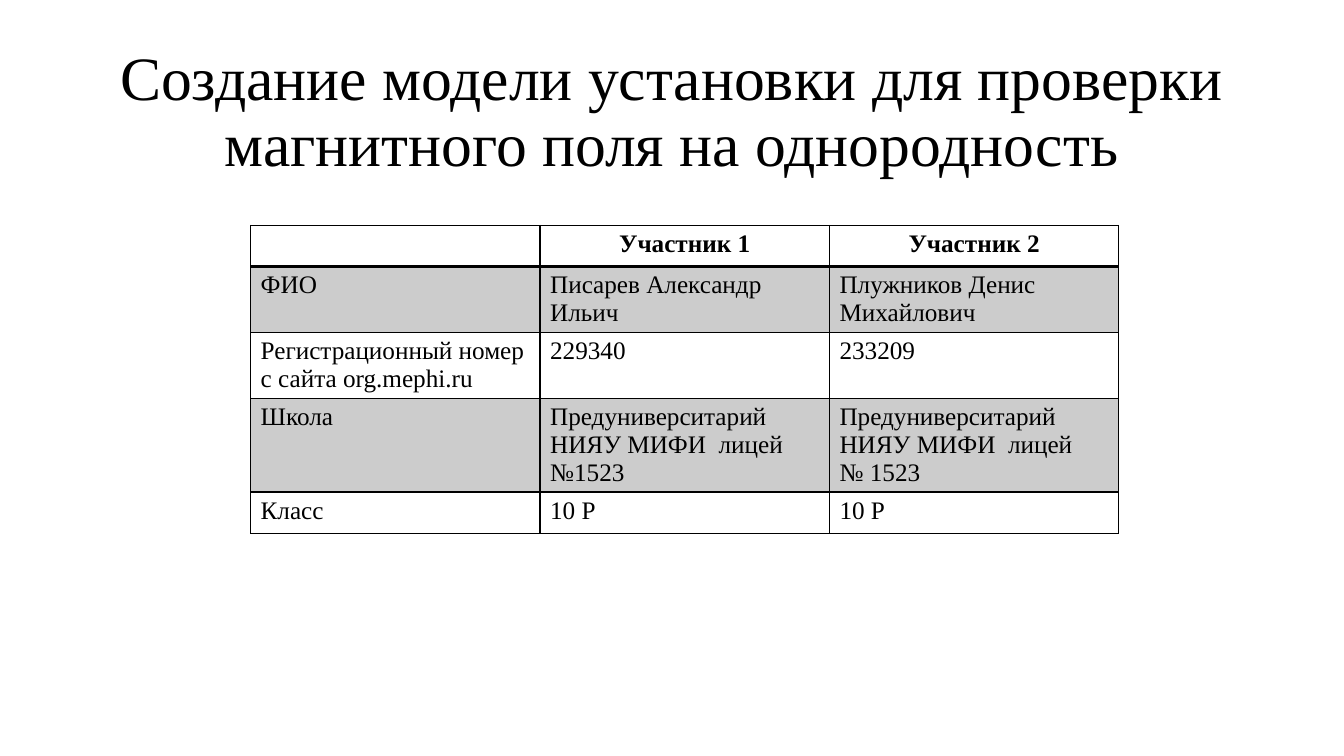
from lxml import etree
from pptx import Presentation
from pptx.dml.color import RGBColor
from pptx.enum.text import MSO_ANCHOR, PP_ALIGN
from pptx.oxml.ns import qn
from pptx.util import Pt

CENTER, LEFT = PP_ALIGN.CENTER, PP_ALIGN.LEFT
MIDDLE = MSO_ANCHOR.MIDDLE
TITLE_ONLY = 5

TITLE = "Создание модели установки для проверки магнитного поля на однородность"
PARTICIPANTS = [
    ["", "Участник 1", "Участник 2"],
    ["ФИО", "Писарев Александр Ильич", "Плужников Денис Михайлович"],
    ["Регистрационный номер\nс сайта org.mephi.ru", "229340", "233209"],
    ["Школа", "Предуниверситарий НИЯУ МИФИ  лицей №1523",
     "Предуниверситарий НИЯУ МИФИ  лицей  № 1523"],
    ["Класс", "10 Р", "10 Р"],
]
ROW_HEIGHTS = [27.5, 47, 47, 67, 29.5]


def color(hex_string):
    return RGBColor.from_string(hex_string)


class SlideBuilder:
    font = "Times New Roman"
    ink = "000000"
    band = "CCCCCC"
    title_size = 44
    body_size = 18

    def __init__(self, presentation):
        self.slide = presentation.slides.add_slide(presentation.slide_layouts[TITLE_ONLY])

    def format_text(self, text_frame, size, alignment, bold=False):
        for paragraph in text_frame.paragraphs:
            paragraph.alignment = alignment
            for run in paragraph.runs:
                run.font.name = self.font
                run.font.size = Pt(size)
                run.font.bold = bold
                run.font.color.rgb = color(self.ink)

    def title(self, text, left, top, width, height):
        shape = self.slide.shapes.title
        shape.left, shape.top, shape.width, shape.height = map(Pt, (left, top, width, height))
        text_frame = shape.text_frame
        text_frame.text = text
        text_frame.word_wrap = True
        text_frame.vertical_anchor = MIDDLE
        text_frame.paragraphs[0].line_spacing = 0.9
        self.format_text(text_frame, self.title_size, CENTER)

    def border(self, cell, side, width):
        """Draw one side (L, R, T or B) of a cell."""
        properties = cell._tc.get_or_add_tcPr()
        line = etree.SubElement(properties, qn(f"a:ln{side}"), w=str(Pt(width)))
        fill = etree.SubElement(line, qn("a:solidFill"))
        etree.SubElement(fill, qn("a:srgbClr"), val=self.ink)

    def table(self, rows, left, top, column_width, row_heights):
        """Add a ruled table with a bold header and every odd row shaded."""
        column_count = len(rows[0])
        table = self.slide.shapes.add_table(
            len(rows), column_count, Pt(left), Pt(top),
            Pt(column_width * column_count), Pt(sum(row_heights))).table
        table.horz_banding = False
        for column in table.columns:
            column.width = Pt(column_width)
        for row_index, (texts, height) in enumerate(zip(rows, row_heights)):
            table.rows[row_index].height = Pt(height)
            is_header = row_index == 0
            for column_index, text in enumerate(texts):
                cell = table.cell(row_index, column_index)
                cell.text_frame.text = text
                self.format_text(cell.text_frame, self.body_size,
                                 CENTER if is_header else LEFT, is_header)
                widths = {"L": 1, "R": 1, "T": 2 if row_index == 1 else 1,
                          "B": 2 if is_header else 1}
                for side, width in widths.items():
                    self.border(cell, side, width)
                if row_index % 2:
                    cell.fill.solid()
                    cell.fill.fore_color.rgb = color(self.band)
                else:
                    cell.fill.background()


def main():
    presentation = Presentation()
    presentation.slide_width, presentation.slide_height = Pt(960), Pt(540)
    builder = SlideBuilder(presentation)
    builder.title(TITLE, 66, 28.75, 828, 104.4)
    builder.table(PARTICIPANTS, 179, 161, 206.75, ROW_HEIGHTS)
    presentation.save("out.pptx")


if __name__ == "__main__":
    main()
